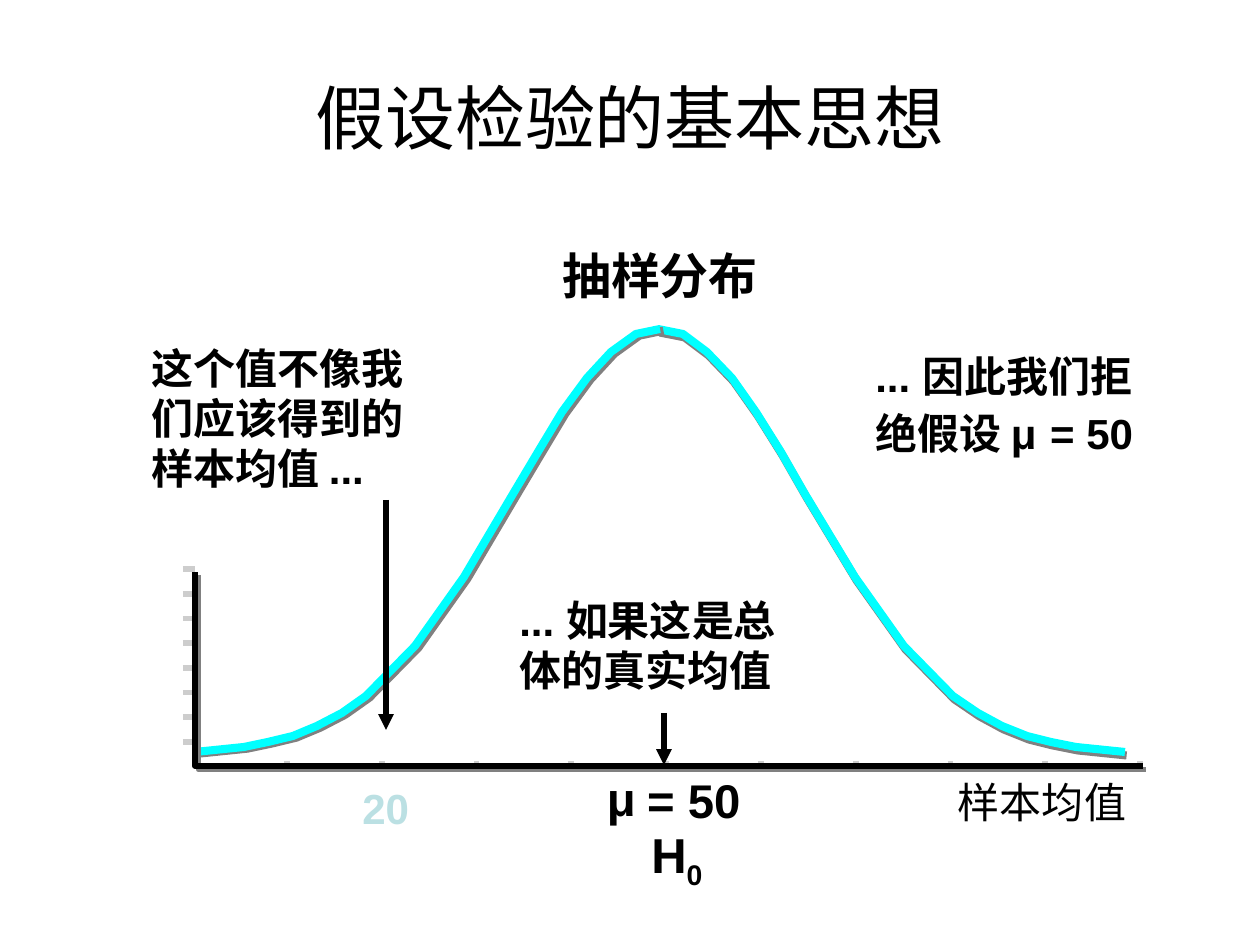
from lxml.etree import SubElement
from pptx import Presentation
from pptx.dml.color import RGBColor
from pptx.enum.shapes import MSO_CONNECTOR
from pptx.enum.text import MSO_ANCHOR, MSO_AUTO_SIZE, PP_ALIGN
from pptx.oxml.ns import qn
from pptx.util import Pt

PX = 914400 / 126
FONT = "Arial"
HUE = {"ink": "000000", "tick": "CDCDCD", "curve": "00FFFF",
       "shade": "808080", "pale": "BBE0E3"}

TITLE = "假设检验的基本思想"
TITLE_BOX = (63, 38, 1134, 157)

# box, runs (text, size), options
NOTES = [
    ((863, 344, 316, 121), [("... 因此我们拒绝假设 μ", 24), (" ", 28), ("= 50", 24)], {}),
    ((507, 588, 305, 113), [("... 如果这是总体的真实均值", 24)], {"shade": True}),
    ((485, 239, 350, 71), [("抽样分布", 28)], {"mid": True}),
    ((609, 818, 136, 79), [("H", 28), ("0", 28)], {"mid": True, "sub": 1}),
    ((139, 336, 309, 164), [("这个值不像我们应该得到的样本均值 ...", 24)], {}),
    ((350, 776, 105, 63), [("20", 24)], {"hue": "pale"}),
    ((958, 777, 168, 50), [("样本均值", 24)], {"tight": True, "bold": False}),
    ((607, 769, 28, 57), [("μ", 27)], {"tight": True}),
    ((634, 771, 107, 57), [(" = 50", 27)], {"tight": True}),
]
ARROWS = [(664, 713, 664, 765), (386, 500, 386, 730)]

# steps from the foot of the curve (19 reach the peak) and height there
BELL = [(0, 752), (2, 747), (3, 742), (4, 736), (5, 726), (6, 713), (7, 696),
        (9, 646), (11, 577), (13, 494), (14, 452), (15, 412), (16, 378),
        (17, 352), (18, 334), (19, 329)]
# foot x, peak x, shadow angle
HALVES = [(1125, 658, 64), (195, 660, 26)]
AXES = [(195, 572), (195, 766), (1143, 766)]


def emu(*vals):
    return [round(v * PX) for v in vals]


def rgb(name):
    return RGBColor.from_string(HUE[name])


def shadow(parent, dist, angle):
    fx = SubElement(parent, qn("a:effectLst"))
    out = SubElement(fx, qn("a:outerShdw"), dist=str(Pt(dist)),
                     dir=str(angle * 60000), algn="ctr", rotWithShape="0")
    SubElement(out, qn("a:srgbClr"), val=HUE["shade"])


def stroke(shape, hue, width):
    shape.line.color.rgb = rgb(hue)
    shape.line.width = Pt(width)


def line(ends, hue, width, head=False):
    link = shapes.add_connector(MSO_CONNECTOR.STRAIGHT, *emu(*ends))
    stroke(link, hue, width)
    if head:
        SubElement(link.line._get_or_add_ln(), qn("a:tailEnd"), type="triangle")
    SubElement(link._element.spPr, qn("a:effectLst"))


def path(pts, hue, width, dist, angle):
    pen = shapes.build_freeform(*pts[0], scale=PX)
    pen.add_line_segments(pts[1:], close=False)
    form = pen.convert_to_shape()
    form.fill.background()
    stroke(form, hue, width)
    shadow(form._element.spPr, dist, angle)


def write(para, text, size, hue="ink", bold=False, shade=False):
    run = para.add_run()
    run.text = text
    font = run.font
    font.size, font.bold = Pt(size), bold
    font.color.rgb = rgb(hue)
    if shade:
        shadow(font._element, 2, 45)
    font.name = FONT
    return run


def note(box, runs, hue="ink", bold=True, mid=False, tight=False,
         shade=False, sub=None):
    """Add a text box; sub is the index of a run set as subscript."""
    frame = shapes.add_textbox(*emu(*box)).text_frame
    frame.word_wrap = not tight
    frame.auto_size = MSO_AUTO_SIZE.SHAPE_TO_FIT_TEXT
    if tight:
        frame.margin_left = frame.margin_right = 0
        frame.margin_top = frame.margin_bottom = 0
    para = frame.paragraphs[0]
    para.alignment = PP_ALIGN.CENTER if mid else PP_ALIGN.LEFT
    for i, (text, size) in enumerate(runs):
        run = write(para, text, size, hue, bold, shade)
        if i == sub:
            run.font._element.set("baseline", "-25000")


deck = Presentation()
deck.slide_width, deck.slide_height = emu(1260, 945)
slide = deck.slides.add_slide(deck.slide_layouts[5])
shapes = slide.shapes

title = shapes.title
title.left, title.top, title.width, title.height = emu(*TITLE_BOX)
title.text_frame.vertical_anchor = MSO_ANCHOR.MIDDLE
head = title.text_frame.paragraphs[0]
head.alignment = PP_ALIGN.CENTER
write(head, TITLE, 40)

for i in range(10):
    x = 287 + i * 853 / 9
    line((x, 761, x, 764), "tick", 3.25)
for i in range(8):
    y = 569 + i * 173 / 7
    line((183, y, 195, y), "tick", 3.25)

for foot, peak, angle in HALVES:
    step = (peak - foot) / BELL[-1][0]
    path([(round(foot + n * step), y) for n, y in BELL], "curve", 4.62, 2.2, angle)
path(AXES, "ink", 3.25, 2.8, 45)

for box, runs, opts in NOTES:
    note(box, runs, **opts)
for ends in ARROWS:
    line(ends, "ink", 3, head=True)

deck.save("out.pptx")
